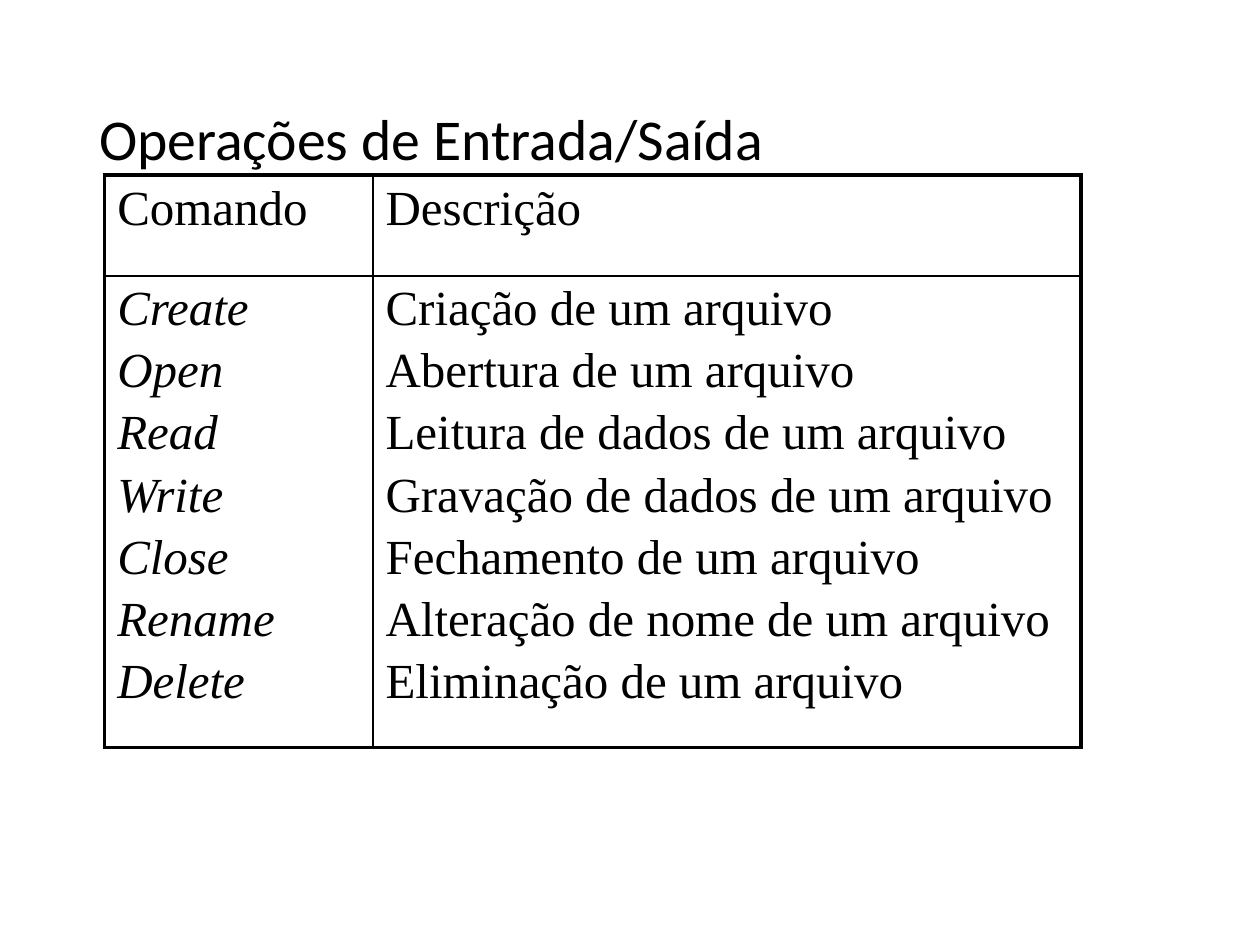
from lxml import etree
from pptx import Presentation
from pptx.dml.color import RGBColor
from pptx.enum.text import MSO_ANCHOR
from pptx.oxml.ns import qn
from pptx.util import Cm, Pt

MIDDLE = MSO_ANCHOR.MIDDLE
BLACK = RGBColor(0x00, 0x00, 0x00)
BLANK_LAYOUT = 6

HEADER = ("Comando", "Descrição")
COMMANDS = {
    "Create": "Criação de um arquivo",
    "Open": "Abertura de um arquivo",
    "Read": "Leitura de dados de um arquivo",
    "Write": "Gravação de dados de um arquivo",
    "Close": "Fechamento de um arquivo",
    "Rename": "Alteração de nome de um arquivo",
    "Delete": "Eliminação de um arquivo",
}


class SlideBuilder:
    title_font, title_size = "Calibri", Pt(33)
    table_font, table_size = "Times New Roman", Pt(28)
    paragraph_gap = Pt(4.5)
    outer_line, inner_line = Pt(2.25), Pt(1)

    def __init__(self, slide):
        self.slide = slide

    def format_runs(self, paragraph, name, size, italic=False):
        for run in paragraph.runs:
            run.font.name = name
            run.font.size = size
            run.font.italic = italic
            run.font.color.rgb = BLACK

    def title(self, text, left, top, width, height):
        text_frame = self.slide.shapes.add_textbox(left, top, width, height).text_frame
        text_frame.word_wrap = True
        text_frame.vertical_anchor = MIDDLE
        text_frame.text = text
        paragraph = text_frame.paragraphs[0]
        paragraph.line_spacing = 0.9
        self.format_runs(paragraph, self.title_font, self.title_size)

    def cell_borders(self, cell, outer_sides):
        properties = cell._tc.get_or_add_tcPr()
        for index, side in enumerate("LRTB"):
            width = self.outer_line if side in outer_sides else self.inner_line
            line = etree.Element(qn(f"a:ln{side}"), w=str(int(width)))
            fill = etree.SubElement(line, qn("a:solidFill"))
            etree.SubElement(fill, qn("a:srgbClr"), val=str(BLACK))
            properties.insert(index, line)

    def cell(self, cell, lines, italic, outer_sides):
        cell.fill.background()
        self.cell_borders(cell, outer_sides)
        cell.text_frame.text = "\n".join(lines)
        for index, paragraph in enumerate(cell.text_frame.paragraphs):
            if index:
                paragraph.space_before = self.paragraph_gap
            self.format_runs(paragraph, self.table_font, self.table_size, italic)

    def table(self, rows, left, top, column_widths, row_heights):
        table = self.slide.shapes.add_table(
            len(rows), len(column_widths), left, top,
            sum(column_widths), sum(row_heights)).table
        table.horz_banding = False
        for column, width in zip(table.columns, column_widths):
            column.width = width
        last_row, last_column = len(rows) - 1, len(column_widths) - 1
        for r, (row, height) in enumerate(zip(rows, row_heights)):
            table.rows[r].height = height
            for c, lines in enumerate(row):
                edges = {"L": c == 0, "R": c == last_column,
                         "T": r == 0, "B": r == last_row}
                outer_sides = [side for side, is_outer in edges.items() if is_outer]
                self.cell(table.cell(r, c), lines, r > 0 and c == 0, outer_sides)


def main():
    presentation = Presentation()
    presentation.slide_width, presentation.slide_height = Cm(25.4), Cm(19.05)
    slide = presentation.slides.add_slide(presentation.slide_layouts[BLANK_LAYOUT])
    builder = SlideBuilder(slide)

    # Heading
    builder.title("Operações de Entrada/Saída", Cm(1.75), Cm(1.02), Cm(21.9), Cm(3.68))

    # Command table: a header row and one row listing every command
    rows = [[[heading] for heading in HEADER],
            [list(COMMANDS), list(COMMANDS.values())]]
    builder.table(rows, Cm(2.11), Cm(3.53),
                  (Cm(5.41), Cm(14.27)), (Cm(2.03), Cm(9.09)))

    presentation.save("out.pptx")


if __name__ == "__main__":
    main()
